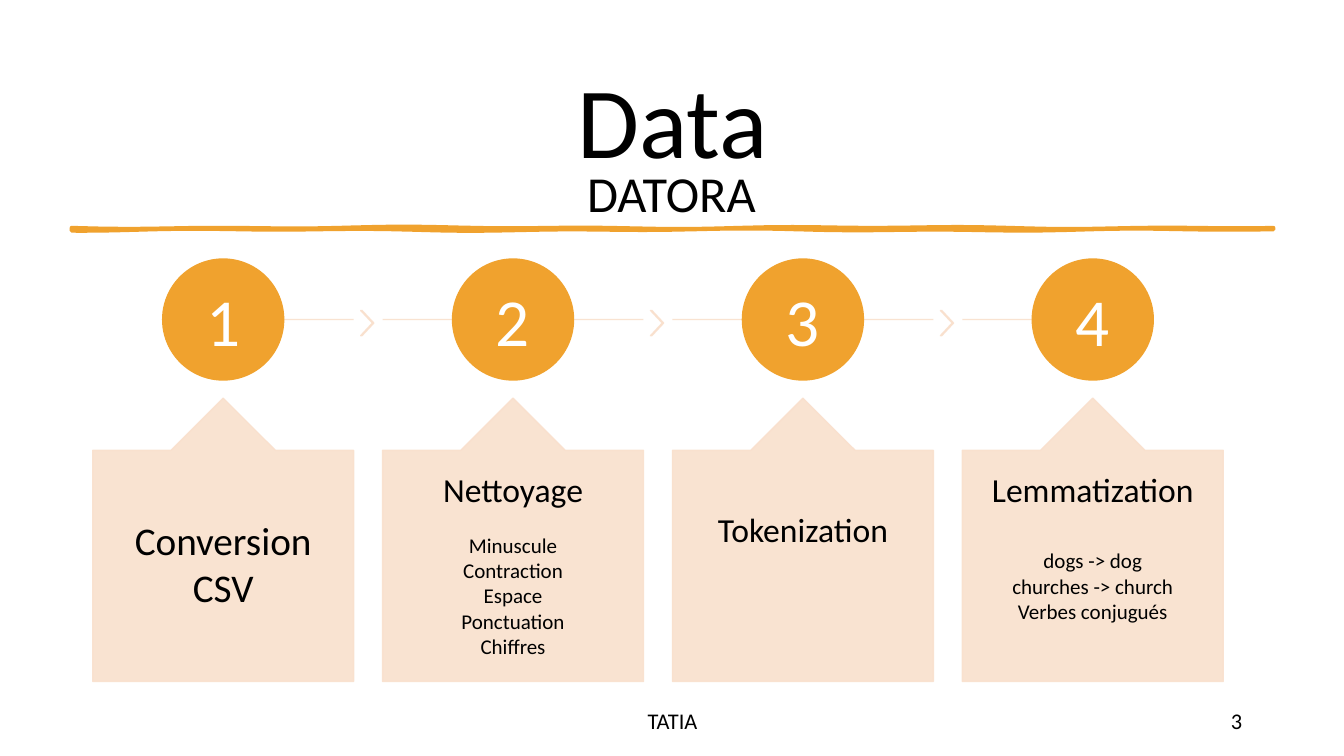
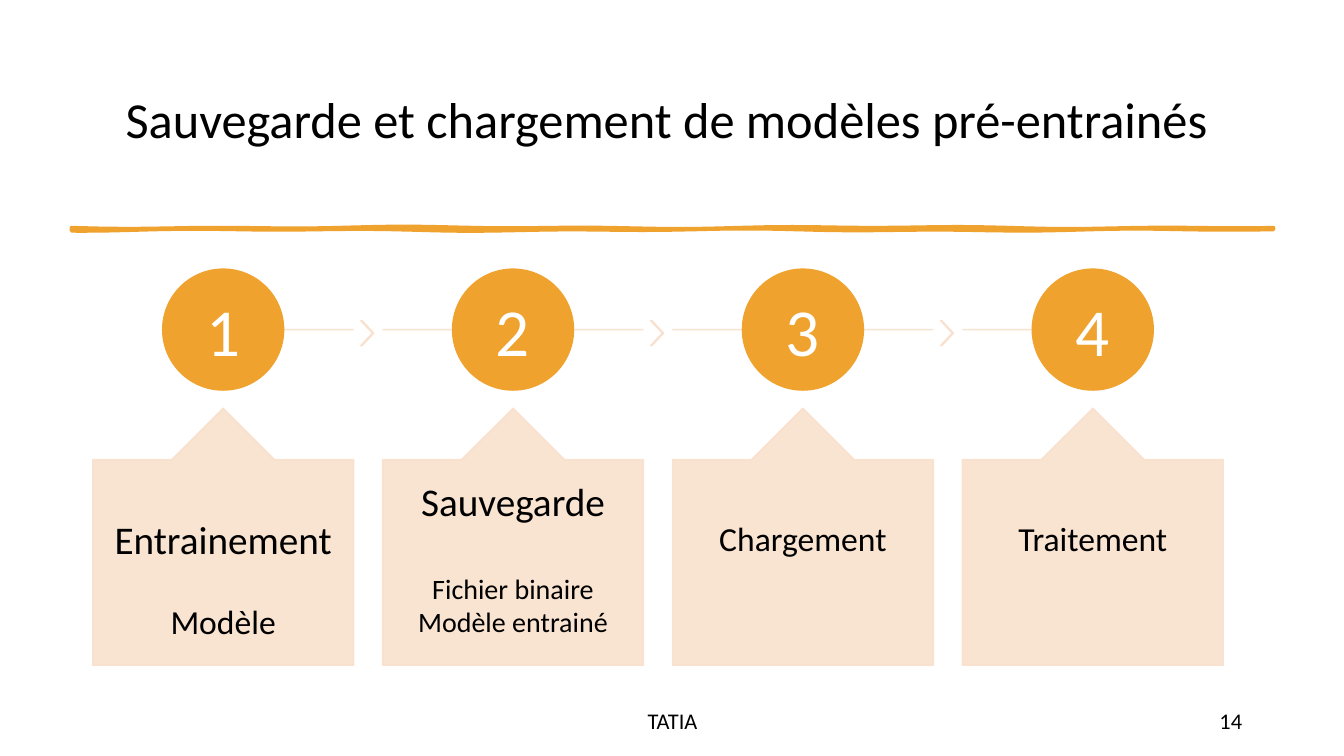
import copy
import math
from dataclasses import dataclass

import lxml.etree
import pptx
import pptx.dml.color
import pptx.enum.shapes
import pptx.enum.text
import pptx.oxml.ns
import pptx.util

Inches = pptx.util.Inches
Pt = pptx.util.Pt
Shapes = pptx.enum.shapes.MSO_SHAPE
Holders = pptx.enum.shapes.PP_PLACEHOLDER
Align = pptx.enum.text.PP_ALIGN
Anchor = pptx.enum.text.MSO_ANCHOR


@dataclass(frozen=True)
class Theme:
    font: str = "Calibri"
    ink: str = "000000"
    paper: str = "FFFFFF"
    accent: str = "F0A22E"
    tint: str = "F9E0CD"
    tint_opacity: int = 90
    title: int = 72
    subtitle: int = 36
    number: int = 48
    large: int = 28
    medium: int = 24
    small: int = 20
    tiny: int = 15
    footer: int = 16


@dataclass(frozen=True)
class Box:
    left: float
    top: float
    width: float
    height: float


@dataclass(frozen=True)
class Step:
    head: str
    size: int
    details: tuple = ()
    detail_size: int = 0
    drop: int = 0  # points above the heading
    gap: int = 0  # points between heading and details


THEME = Theme()
WIDTH, HEIGHT = 13.33, 7.5
MARGIN, CONTENT = 0.92, 11.5
TITLE = Box(MARGIN, 0.44, CONTENT, 1.47)
SUBTITLE = Box(2.27, 1.56, 8.78, 0.71)
RULE = Box(0.71, 2.26, 11.92, 0.02)
FOOTERS = {
    Holders.FOOTER: (Box(4.42, 6.95, 4.5, 0.4), Align.CENTER),
    Holders.SLIDE_NUMBER: (Box(9.42, 6.95, 3, 0.4), Align.RIGHT),
}


# Shared helpers
def inches(box):
    return [Inches(value) for value in (box.left, box.top, box.width, box.height)]


def place(shape, box):
    shape.left, shape.top, shape.width, shape.height = inches(box)


def colour(value):
    return pptx.dml.color.RGBColor.from_string(value)


def style(para, size, ink=THEME.ink, align=Align.CENTER):
    para.alignment = align
    for span in para.runs:
        span.font.name = THEME.font
        span.font.size = Pt(size)
        span.font.color.rgb = colour(ink)


def write(shape, text, size, ink=THEME.ink, align=Align.CENTER, anchor=Anchor.MIDDLE):
    frame = shape.text_frame
    frame.word_wrap = True
    frame.auto_size = pptx.enum.text.MSO_AUTO_SIZE.NONE
    frame.vertical_anchor = anchor
    frame.text = text
    style(frame.paragraphs[0], size, ink, align)


def set_opacity(shape, percent):
    for paint in shape.element.iter(pptx.oxml.ns.qn("a:srgbClr")):
        alpha = lxml.etree.SubElement(paint, pptx.oxml.ns.qn("a:alpha"))
        alpha.set("val", str(percent * 1000))


def fill(shape, value, line_width=1, opacity=100):
    shape.shadow.inherit = False
    shape.fill.solid()
    shape.fill.fore_color.rgb = colour(value)
    shape.line.color.rgb = colour(value)
    shape.line.width = Pt(line_width)
    if opacity < 100:
        set_opacity(shape, opacity)


def add_shape(page, preset, box, value, opacity=100):
    shape = page.shapes.add_shape(preset, *inches(box))
    fill(shape, value, opacity=opacity)
    return shape


# Layout: title and footer places, hand-drawn rule
def prepare_layout(layout):
    for holder in layout.placeholders:
        kind = holder.placeholder_format.type
        if kind == Holders.TITLE:
            place(holder, TITLE)
        elif kind in FOOTERS:
            place(holder, FOOTERS[kind][0])


def add_rule(page, layout, box):
    """Draw a thin uneven band and hand it to the layout."""
    steps = 120

    def edge(base, phase):
        points = []
        for index in range(steps + 1):
            sway = math.sin(index / 3 + phase) + math.sin(index / 7.3 + 2 * phase)
            points.append((box.left + box.width * index / steps, base + 0.006 * sway))
        return points

    outline = edge(box.top, 0) + edge(box.top + box.height, 1)[::-1]
    builder = page.shapes.build_freeform(
        Inches(outline[0][0]), Inches(outline[0][1]))
    builder.add_line_segments(
        [(Inches(x), Inches(y)) for x, y in outline[1:]], close=True)
    rule = builder.convert_to_shape()
    fill(rule, THEME.accent, line_width=2.75)
    layout.shapes.element.append(rule.element)


def add_footers(page, layout, texts):
    for holder in layout.placeholders:
        kind = holder.placeholder_format.type
        if kind in texts:
            page.shapes.element.append(copy.deepcopy(holder.element))
            write(page.shapes[-1], texts[kind], THEME.footer, align=FOOTERS[kind][1])


# Timeline: numbered circles above callout cards
def add_thread(page, start, end, y):
    thread = page.shapes.add_connector(
        pptx.enum.shapes.MSO_CONNECTOR.STRAIGHT,
        Inches(start), Inches(y), Inches(end), Inches(y))
    thread.line.color.rgb = colour(THEME.tint)
    thread.line.width = Pt(1)
    set_opacity(thread, THEME.tint_opacity)
    lxml.etree.SubElement(thread.element.spPr, pptx.oxml.ns.qn("a:effectLst"))


def add_card(page, box, step):
    card = add_shape(page, Shapes.UP_ARROW_CALLOUT, box, THEME.tint, THEME.tint_opacity)
    for index, value in enumerate((0.5, 0.2, 0.2, 1)):
        card.adjustments[index] = value
    write(card, step.head, step.size, anchor=Anchor.TOP)
    frame = card.text_frame
    frame.margin_left = frame.margin_right = frame.margin_bottom = Inches(0.18)
    frame.margin_top = Inches(0.18) + Pt(step.drop)
    for index, detail in enumerate(step.details):
        para = frame.add_paragraph()
        para.text = detail
        para.space_before = Pt(0 if index else step.gap)
        style(para, step.detail_size)


def add_timeline(page, box, steps):
    pitch = box.width / len(steps)
    card_width = 0.9 * pitch
    circle, card_drop = 1.2, 1.38
    axis = box.top + circle / 2
    for index, step in enumerate(steps):
        left = box.left + index * pitch
        middle, right = left + card_width / 2, left + card_width
        first, last = index == 0, index == len(steps) - 1
        add_thread(page, middle if first else left, middle if last else right, axis)
        if not last:
            chevron = add_shape(page, Shapes.CHEVRON,
                                Box(right + 0.07, axis - 0.09, 0.13, 0.25),
                                THEME.tint, THEME.tint_opacity)
            chevron.adjustments[0] = 0.9
        disc = add_shape(page, Shapes.OVAL,
                         Box(middle - circle / 2, box.top, circle, circle), THEME.accent)
        write(disc, str(index + 1), THEME.number, THEME.paper)
        add_card(page, Box(left, box.top + card_drop, card_width,
                           box.height - card_drop), step)


def add_page(deck, layout, title, title_size, number, box, steps):
    page = deck.slides.add_slide(layout)
    write(page.shapes.title, title, title_size)
    add_timeline(page, box, steps)
    add_footers(page, layout, {Holders.FOOTER: "TATIA", Holders.SLIDE_NUMBER: number})
    return page


DATA_STEPS = (
    Step("Conversion CSV", THEME.large, drop=34),
    Step("Nettoyage", THEME.medium,
         ("Minuscule", "Contraction", "Espace", "Ponctuation", "Chiffres"),
         THEME.tiny, gap=17),
    Step("Tokenization", THEME.medium, drop=29),
    Step("Lemmatization", THEME.medium,
         ("dogs -> dog", "churches -> church", "Verbes conjugués"),
         THEME.tiny, gap=28),
)
MODEL_STEPS = (
    Step("Entrainement", THEME.large, ("Modèle",), THEME.medium, drop=27, gap=27),
    Step("Sauvegarde", THEME.large, ("Fichier binaire", "Modèle entrainé"),
         THEME.small, gap=33),
    Step("Chargement", THEME.medium, drop=29),
    Step("Traitement", THEME.medium, drop=29),
)


def main():
    deck = pptx.Presentation()
    deck.slide_width, deck.slide_height = Inches(WIDTH), Inches(HEIGHT)
    layout = deck.slide_layouts.get_by_name("Title Only")
    prepare_layout(layout)

    # Data preparation
    page = add_page(deck, layout, "Data", THEME.title, "3",
                    Box(MARGIN, 2.57, CONTENT, 4.19), DATA_STEPS)
    subtitle = page.shapes.add_textbox(*inches(SUBTITLE))
    write(subtitle, "DATORA", THEME.subtitle, anchor=Anchor.TOP)
    add_rule(page, layout, RULE)

    # Saving and loading models
    add_page(deck, layout, "Sauvegarde et chargement de modèles pré-entrainés ",
             THEME.subtitle, "14", Box(MARGIN, 2.67, CONTENT, 3.93), MODEL_STEPS)
    deck.save("out.pptx")


if __name__ == "__main__":
    main()
